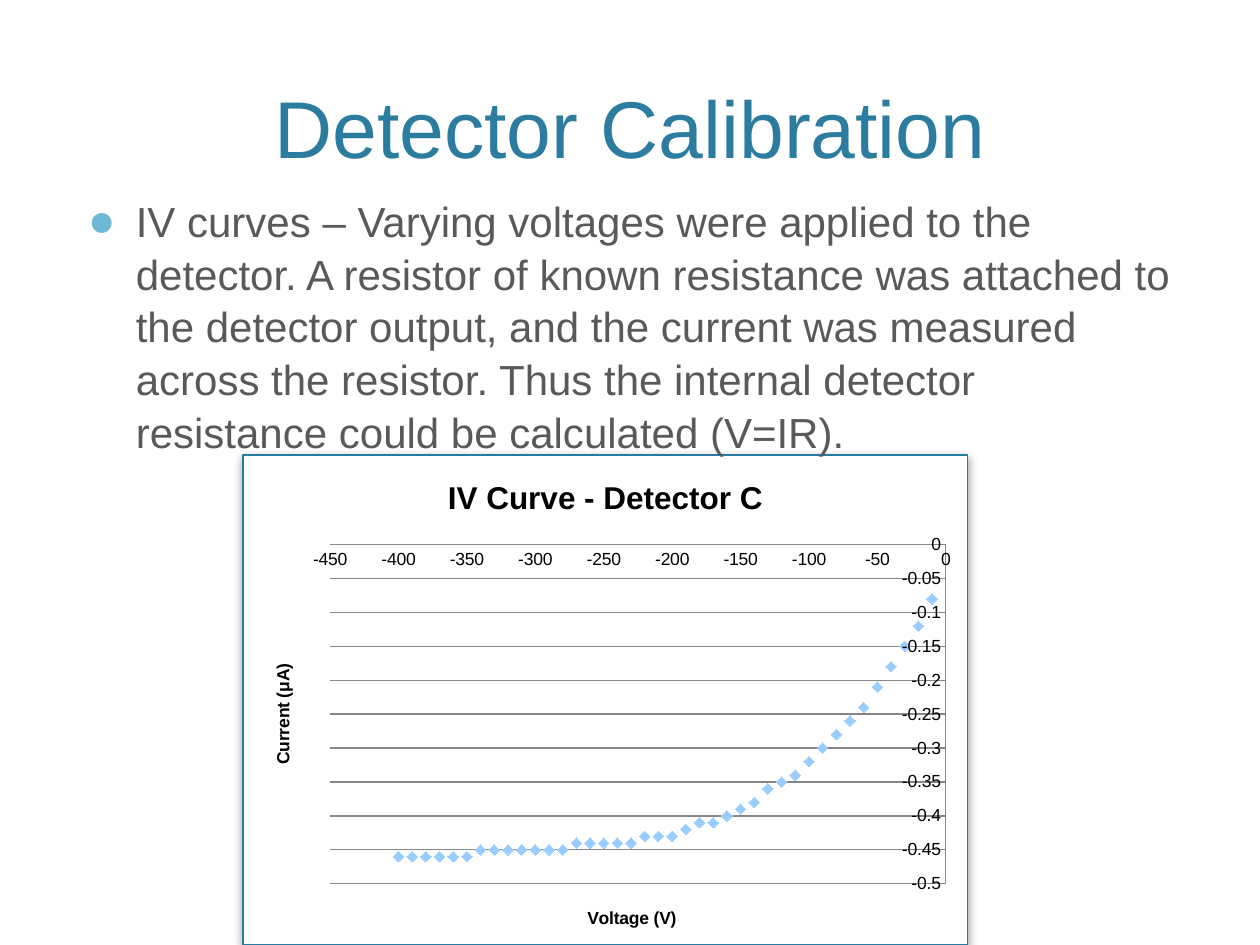
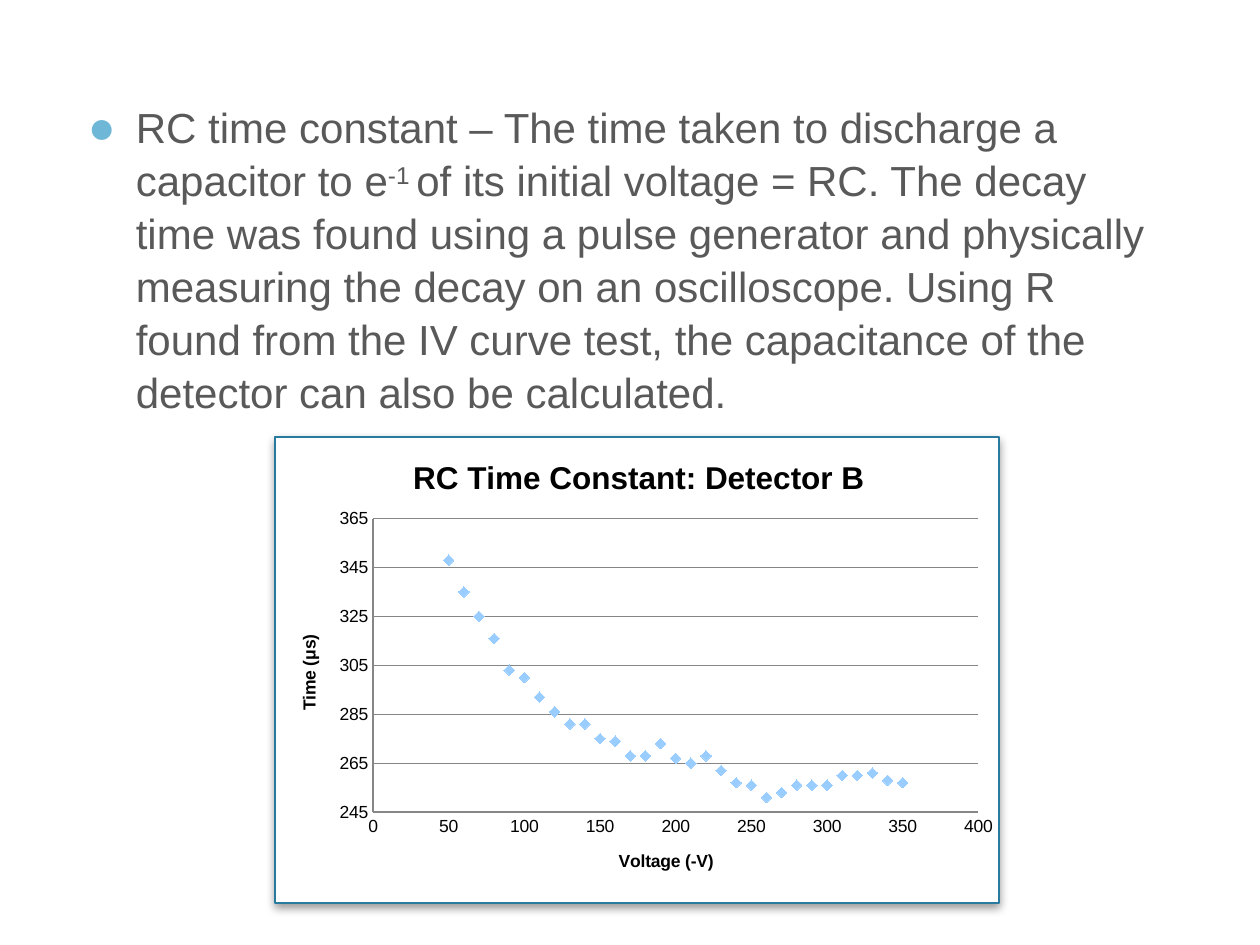
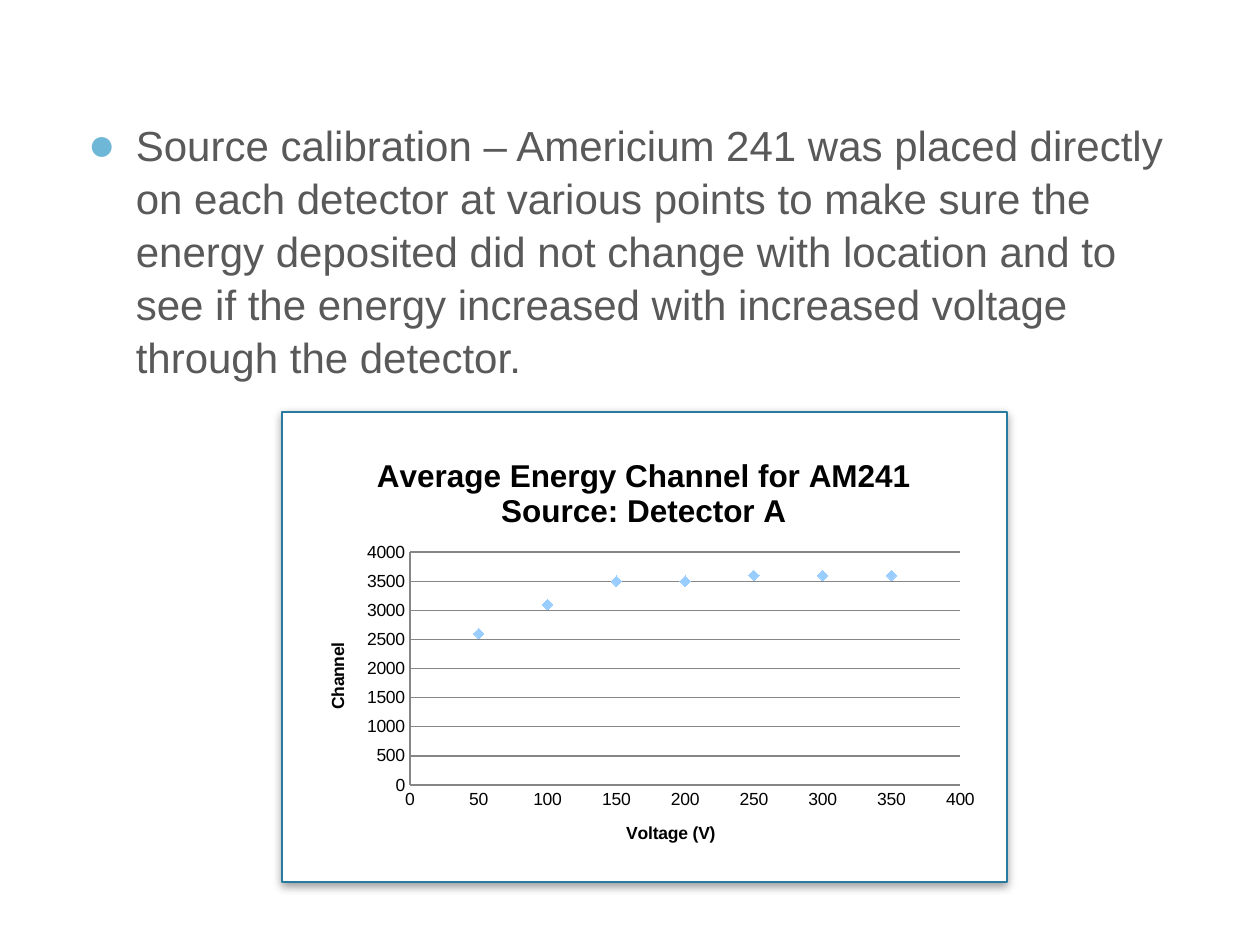
from dataclasses import dataclass

from lxml import etree
from pptx import Presentation
from pptx import util as u
from pptx.chart.data import XyChartData
from pptx.dml.color import RGBColor
from pptx.enum import chart as ch, shapes, text
from pptx.oxml import parse_xml
from pptx.oxml.ns import nsdecls, qn


@dataclass(frozen=True)
class Theme:
    font: str = "Arial"
    heading: str = "2C7C9F"
    body: str = "595959"
    bullet: str = "6FB7D7"
    frame_fill: str = "FFFFFF"
    frame_line: str = "287A9E"
    chart_text: str = "000000"
    grid: str = "868686"
    marker: str = "99CCFF"
    heading_size: float = 46
    body_size: float = 24
    chart_title_size: float = 18
    axis_size: float = 10


THEME = Theme()
TITLE_ONLY, BLANK = 5, 6


@dataclass(frozen=True)
class Axis:
    title: str
    low: float
    high: float
    step: float


@dataclass(frozen=True)
class Scatter:
    """A plot; area holds left, top, width and height as shares of the chart."""
    title: str
    x_axis: Axis
    y_axis: Axis
    voltages: range
    readings: tuple
    area: tuple


IV_CURVE = Scatter(
    "IV Curve - Detector C",
    Axis("Voltage (V)", -450, 0, 50),
    Axis("Current (μA)", -0.5, 0, 0.05),
    range(-400, 0, 10),
    (-0.46, -0.46, -0.46, -0.46, -0.46, -0.46, -0.45, -0.45, -0.45, -0.45,
     -0.45, -0.45, -0.45, -0.44, -0.44, -0.44, -0.44, -0.44, -0.43, -0.43,
     -0.43, -0.42, -0.41, -0.41, -0.4, -0.39, -0.38, -0.36, -0.35, -0.34,
     -0.32, -0.3, -0.28, -0.26, -0.24, -0.21, -0.18, -0.15, -0.12, -0.08),
    (0.12, 0.18, 0.85, 0.68),
)
RC_TIME = Scatter(
    "RC Time Constant: Detector B",
    Axis("Voltage (-V)", 0, 400, 50),
    Axis("Time (μs)", 245, 365, 20),
    range(50, 351, 10),
    (348, 335, 325, 316, 303, 300, 292, 286, 281, 281, 275, 274, 268, 268, 273,
     267, 265, 268, 262, 257, 256, 251, 253, 256, 256, 256, 260, 260, 261, 258,
     257),
    (0.14, 0.18, 0.82, 0.63),
)
ENERGY_CHANNEL = Scatter(
    "Average Energy Channel for AM241 Source: Detector A",
    Axis("Voltage (V)", 0, 400, 50),
    Axis("Channel", 0, 4000, 500),
    range(50, 351, 50),
    (2600, 3100, 3500, 3500, 3600, 3600, 3600),
    (0.16, 0.27, 0.8, 0.53),
)


def inches(box):
    return [u.Inches(length) for length in box]


def apply(target, **values):
    for name, value in values.items():
        setattr(target, name, value)


def style_font(font, size, color, **extra):
    apply(font, name=THEME.font, size=u.Pt(size), **extra)
    font.color.rgb = RGBColor.from_string(color)


def add_heading(slide, wording):
    heading = slide.shapes.title
    left, top, width, height = inches((0.6, -0.02, 8.8, 1.46))
    apply(heading, left=left, top=top, width=width, height=height)
    apply(heading.text_frame, text=wording, word_wrap=True,
          auto_size=text.MSO_AUTO_SIZE.NONE,
          vertical_anchor=text.MSO_ANCHOR.BOTTOM)
    line = heading.text_frame.paragraphs[0]
    line.alignment = text.PP_ALIGN.CENTER
    style_font(line.runs[0].font, THEME.heading_size, THEME.heading)


def add_bullet(paragraph):
    props = paragraph._p.get_or_add_pPr()
    props.set("marL", str(u.Inches(0.38)))
    props.set("indent", str(-u.Inches(0.38)))
    color = etree.SubElement(props, qn("a:buClr"))
    etree.SubElement(color, qn("a:srgbClr"), val=THEME.bullet)
    etree.SubElement(props, qn("a:buSzPct"), val="110000")
    etree.SubElement(props, qn("a:buFont"), typeface=THEME.font)
    etree.SubElement(props, qn("a:buChar"), char="●")


def add_body(slide, top, height, *pieces):
    """Add one bulleted paragraph; every second piece is superscript."""
    frame = slide.shapes.add_textbox(*inches((0.6, top, 8.8, height))).text_frame
    frame.word_wrap = True
    paragraph = frame.paragraphs[0]
    apply(paragraph, space_before=u.Pt(20), line_spacing=1.05)
    add_bullet(paragraph)
    for index, wording in enumerate(pieces):
        run = paragraph.add_run()
        run.text = wording
        style_font(run.font, THEME.body_size, THEME.body)
        if index % 2:
            run._r.get_or_add_rPr().set("baseline", "30000")


def add_frame(slide, box):
    frame = slide.shapes.add_shape(shapes.MSO_SHAPE.RECTANGLE, *inches(box))
    frame.fill.solid()
    frame.fill.fore_color.rgb = RGBColor.from_string(THEME.frame_fill)
    frame.line.color.rgb = RGBColor.from_string(THEME.frame_line)
    frame.line.width = u.Pt(1)
    frame._element.spPr.append(parse_xml(
        f'<a:effectLst {nsdecls("a")}>'
        f'<a:outerShdw blurRad="{u.Pt(5)}" dist="{u.Pt(2)}" dir="5400000" '
        'rotWithShape="0"><a:srgbClr val="000000"><a:alpha val="40000"/>'
        '</a:srgbClr></a:outerShdw></a:effectLst>'))


def style_axis(axis, scale, has_grid):
    apply(axis, minimum_scale=scale.low, maximum_scale=scale.high,
          major_unit=scale.step, has_major_gridlines=has_grid,
          major_tick_mark=ch.XL_TICK_MARK.NONE,
          minor_tick_mark=ch.XL_TICK_MARK.NONE,
          tick_label_position=ch.XL_TICK_LABEL_POSITION.NEXT_TO_AXIS)
    lines = [axis.format.line]
    if has_grid:
        lines.append(axis.major_gridlines.format.line)
    for line in lines:
        line.color.rgb = RGBColor.from_string(THEME.grid)
        line.width = u.Pt(0.75)
    add_chart_title(axis.axis_title, scale.title, THEME.axis_size)


def add_chart_title(title, wording, size):
    title.text_frame.text = wording
    style_font(title.text_frame.paragraphs[0].runs[0].font, size,
               THEME.chart_text, bold=True)


def place_plot(chart, area):
    plot_area = chart._chartSpace.chart.plotArea
    for layout in plot_area.findall(qn("c:layout")):
        plot_area.remove(layout)
    places = "".join(f'<c:{name} val="{share}"/>'
                     for name, share in zip("xywh", area))
    plot_area.insert(0, parse_xml(
        f'<c:layout {nsdecls("c")}><c:manualLayout>'
        '<c:layoutTarget val="inner"/><c:xMode val="edge"/>'
        f'<c:yMode val="edge"/>{places}</c:manualLayout></c:layout>'))


def add_scatter(slide, box, scatter):
    data = XyChartData()
    points = data.add_series("Series 1")
    for voltage, reading in zip(scatter.voltages, scatter.readings):
        points.add_data_point(voltage, reading)
    chart = slide.shapes.add_chart(
        ch.XL_CHART_TYPE.XY_SCATTER, *inches(box), data).chart
    style_font(chart.font, THEME.axis_size, THEME.chart_text)
    apply(chart, has_legend=False, has_title=True)
    add_chart_title(chart.chart_title, scatter.title, THEME.chart_title_size)
    chart.chart_title.include_in_layout = False
    style_axis(chart.category_axis, scatter.x_axis, False)
    style_axis(chart.value_axis, scatter.y_axis, True)
    place_plot(chart, scatter.area)

    plot = chart.plots[0]
    plot.vary_by_categories = False
    series = plot.series[0]
    series.format.line.fill.background()
    apply(series.marker, style=ch.XL_MARKER_STYLE.DIAMOND, size=6)
    series.marker.format.fill.solid()
    series.marker.format.fill.fore_color.rgb = RGBColor.from_string(THEME.marker)
    series.marker.format.line.fill.background()


def main():
    deck = Presentation()
    deck.slide_width, deck.slide_height = inches((10, 7.5))

    iv_slide = deck.slides.add_slide(deck.slide_layouts[TITLE_ONLY])
    add_frame(iv_slide, (1.93, 3.61, 5.75, 3.89))
    add_heading(iv_slide, "Detector Calibration")
    add_body(iv_slide, 1.48, 4.92,
             "IV curves – Varying voltages were applied to the detector. "
             "A resistor of known resistance was attached to the detector "
             "output, and the current was measured across the resistor. Thus "
             "the internal detector resistance could be calculated (V=IR).")
    add_scatter(iv_slide, (1.93, 3.61, 5.75, 3.96), IV_CURVE)

    rc_slide = deck.slides.add_slide(deck.slide_layouts[BLANK])
    add_frame(rc_slide, (2.18, 3.47, 5.75, 3.7))
    add_body(rc_slide, 0.74, 4.75,
             "RC time constant – The time taken to discharge a capacitor to e",
             "-1 ",
             "of its initial voltage = RC. The decay time was found using a "
             "pulse generator and physically measuring the decay on an "
             "oscilloscope. Using R found from the IV curve test, the "
             "capacitance of the detector can also be calculated.")
    add_scatter(rc_slide, (2.14, 3.45, 5.86, 3.7), RC_TIME)

    source_slide = deck.slides.add_slide(deck.slide_layouts[BLANK])
    add_frame(source_slide, (2.24, 3.27, 5.75, 3.73))
    add_body(source_slide, 0.88, 4.75,
             "Source calibration – Americium 241 was placed directly on each "
             "detector at various points to make sure the energy deposited did "
             "not change with location and to see if the energy increased with "
             "increased voltage through the detector.")
    add_scatter(source_slide, (2.38, 3.44, 5.46, 3.49), ENERGY_CHANNEL)

    deck.save("out.pptx")


if __name__ == "__main__":
    main()
